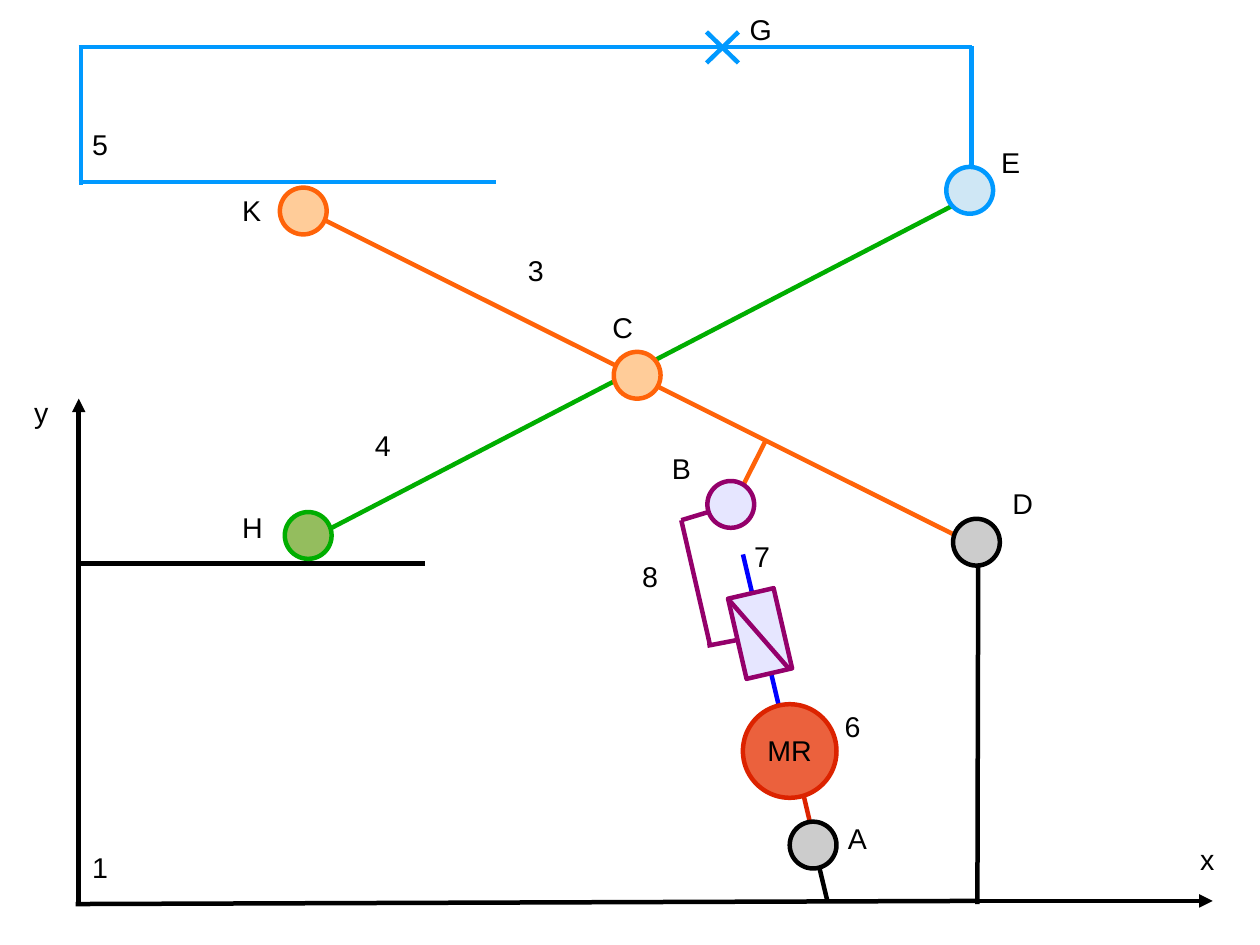
"""Draw the kinematic diagram of a scissor lift driven by a screw jack."""
from lxml import etree
from pptx import Presentation
from pptx import util as u
from pptx.dml.color import RGBColor
from pptx.enum import shapes, text
from pptx.oxml.ns import qn

COLORS = {
    "black": "000000", "grey": "CCCCCC", "blue": "0099FF", "sky": "CFE7F5",
    "orange": "FF6309", "peach": "FFCC99", "green": "00AE00", "leaf": "94BD5E",
    "purple": "94006B", "lilac": "E6E6FF", "red": "DC2300", "coral": "EB613D",
    "rod": "0000FF",
}
STROKE = 2.83
JOINT = 1.04
MOTOR = 2.08
LABEL_HEIGHT = 1.24

LINKS = [
    ("red", 17.63, 16.71, 18.14, 18.87),
    ("blue", 1.75, 1.04, 21.59, 1.04),
    ("blue", 1.75, 4.04, 11.02, 4.04),
    ("blue", 1.8, 4.11, 1.8, 1.02),
    ("blue", 21.59, 4.11, 21.59, 1.02),
    ("green", 6.83, 12.01, 21.46, 4.42),
    ("black", 1.75, 12.52, 9.45, 12.52),
    ("black", 1.75, 20.09, 1.75, 12.45),
    ("orange", 6.83, 4.7, 21.46, 12.01),
    ("orange", 17.02, 9.78, 16.23, 11.35),
    ("black", 21.72, 20.09, 21.74, 12.19),
    ("black", 21.74, 20.02, 1.68, 20.09),
    ("rod", 16.51, 12.32, 17.55, 16.71),
    ("purple", 17.02, 14.1, 15.72, 14.35),
    ("purple", 15.14, 11.56, 15.77, 14.3),
    ("purple", 15.14, 11.56, 16.76, 11.07),
    ("black", 18.03, 18.54, 18.39, 20.04),
]
JOINTS = [
    ("sky", "blue", 21.55, 4.23),
    ("peach", "orange", 6.74, 4.69),
    ("grey", "black", 21.7, 12.05),
    ("leaf", "green", 6.85, 11.9),
    ("peach", "orange", 14.16, 8.34),
    ("lilac", "purple", 16.24, 11.21),
    ("grey", "black", 18.07, 18.78),
]
MARKS = [
    ("purple", 16.18, 13.31, 17.55, 14.88),
    ("blue", 15.7, 0.71, 16.41, 1.4),
    ("blue", 16.41, 0.71, 15.7, 1.4),
]
AXES = [
    ("black", 21.72, 20.02, 26.95, 20.02),
    ("black", 1.75, 13.56, 1.75, 8.86),
]
LABELS = [
    ("1", 1.8, 18.77), ("6", 18.52, 15.65), ("5", 1.8, 2.72),
    ("3", 11.48, 5.51), ("4", 8.08, 9.4), ("8", 14.02, 12.32),
    ("7", 16.51, 11.86), ("x", 26.42, 18.59), ("y", 0.51, 8.66),
    ("A", 18.59, 18.14), ("B", 14.68, 9.91), ("C", 13.36, 6.78),
    ("D", 22.25, 10.69), ("E", 22, 3.12), ("K", 5.13, 4.17),
    ("H", 5.13, 11.23), ("G", 16.41, 0.15),
]


def color(name):
    """Return the named colour."""
    return RGBColor.from_string(COLORS[name])


def add_line(page, name, x1, y1, x2, y2, arrow=False):
    """Draw a straight link, with an arrowhead at its end on request."""
    line = page.shapes.add_connector(
        shapes.MSO_CONNECTOR.STRAIGHT, u.Cm(x1), u.Cm(y1), u.Cm(x2), u.Cm(y2))
    line.line.color.rgb = color(name)
    line.line.width = u.Pt(STROKE)
    if arrow:
        etree.SubElement(line.line._get_or_add_ln(), qn("a:tailEnd"), type="triangle")
    etree.SubElement(line._element.spPr, qn("a:effectLst"))


def add_part(page, kind, fill, edge, x, y, width, height):
    """Draw a filled shape centred on a point."""
    part = page.shapes.add_shape(
        kind, u.Cm(x - width / 2), u.Cm(y - height / 2), u.Cm(width), u.Cm(height))
    part.shadow.inherit = False
    part.fill.solid()
    part.fill.fore_color.rgb = color(fill)
    part.line.color.rgb = color(edge)
    part.line.width = u.Pt(STROKE)
    return part


def write(box, wording, wrap=True, align=text.PP_ALIGN.LEFT,
          anchor=text.MSO_ANCHOR.TOP, margins=(0.25, 0.18, 0.25, 0.13)):
    """Put one line of formatted text in a box."""
    frame = box.text_frame
    frame.word_wrap = wrap
    frame.vertical_anchor = anchor
    (frame.margin_left, frame.margin_top,
     frame.margin_right, frame.margin_bottom) = map(u.Cm, margins)
    para = frame.paragraphs[0]
    para.alignment = align
    para.line_spacing = 0.93
    span = para.add_run()
    span.text = wording
    span.font.name = "Arial"
    span.font.size = u.Pt(18)
    span.font.color.rgb = color("black")


def main():
    """Build and save the deck."""
    deck = Presentation()
    deck.slide_width, deck.slide_height = u.Cm(28), u.Cm(21)
    page = deck.slides.add_slide(deck.slide_layouts[6])
    oval = shapes.MSO_SHAPE.OVAL

    for link in LINKS:
        add_line(page, *link)
    for joint in JOINTS:
        add_part(page, oval, *joint, JOINT, JOINT)
    motor = add_part(page, oval, "coral", "red", 17.55, 16.69, MOTOR, MOTOR)
    write(motor, "MR", wrap=False, align=text.PP_ALIGN.CENTER,
          anchor=text.MSO_ANCHOR.MIDDLE, margins=(0.3, 0.23, 0.3, 0.18))
    nut = add_part(page, shapes.MSO_SHAPE.RECTANGLE, "lilac", "purple",
                   16.89, 14.08, 1.83, JOINT)
    nut.rotation = 77
    for mark in MARKS:
        add_line(page, *mark)
    for axis in AXES:
        add_line(page, *axis, arrow=True)
    for wording, left, top in LABELS:
        width = 1.24 if wording.isupper() else 1.12
        box = page.shapes.add_textbox(
            u.Cm(left), u.Cm(top), u.Cm(width), u.Cm(LABEL_HEIGHT))
        write(box, wording)

    deck.save("out.pptx")


if __name__ == "__main__":
    main()
